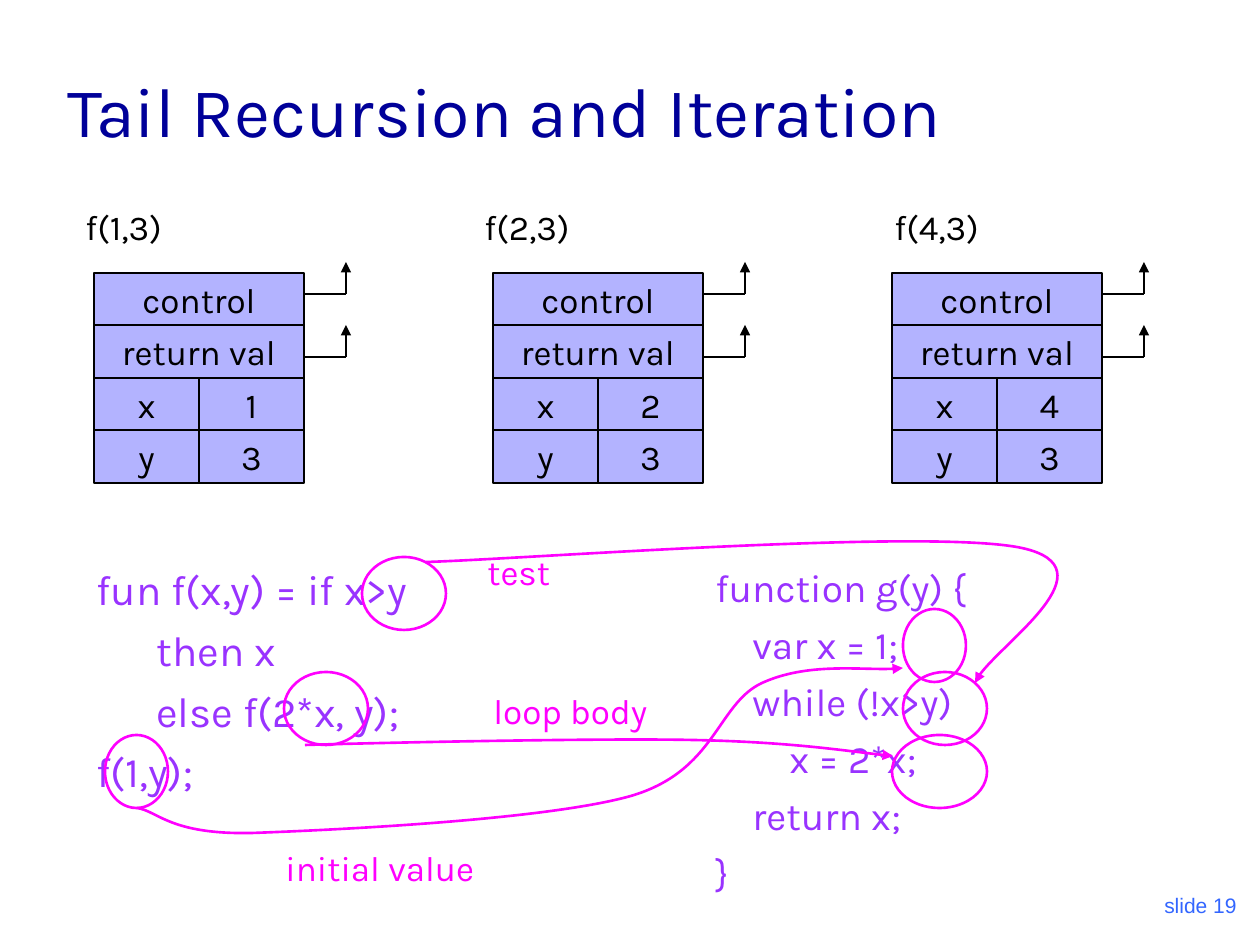
from pptx import Presentation
from pptx.dml.color import RGBColor
from pptx.enum.shapes import MSO_CONNECTOR, MSO_SHAPE
from pptx.enum.text import MSO_ANCHOR as Anchor, PP_ALIGN as Align
from pptx.oxml.ns import qn
from pptx.util import Emu, Pt
from lxml.etree import SubElement

SCALE = 914400 / 126
COLORS = {
    "title": "000099",
    "ink": "000000",
    "cell": "B3B3FF",
    "code": "9933FF",
    "match": "FF00FF",
    "number": "3366FF",
}


def px(length):
    return Emu(round(length * SCALE))


class Board:
    def __init__(self, slide, font="Karla"):
        self.slide = slide
        self.shapes = slide.shapes
        self.font = font

    def color(self, name):
        return RGBColor.from_string(COLORS[name])

    def set_lines(self, frame, lines, size, color, align=Align.LEFT, font=None, before=0):
        for index, (indent, words) in enumerate(lines):
            paragraph = frame.paragraphs[0] if index == 0 else frame.add_paragraph()
            paragraph.text = words
            paragraph.alignment = align
            paragraph.space_before = Pt(before)
            paragraph.font.size = Pt(size)
            paragraph.font.name = font or self.font
            paragraph.font.color.rgb = self.color(color)
            if indent:
                paragraph._p.get_or_add_pPr().set("marL", str(px(indent)))

    def title(self, box, words):
        title = self.shapes.title
        title.left, title.top, title.width, title.height = map(px, box)
        title.text_frame.vertical_anchor = Anchor.BOTTOM
        self.set_lines(title.text_frame, [(0, words)], 40, "title")

    def text(self, box, lines, size, color, anchor=Anchor.TOP, **style):
        frame = self.shapes.add_textbox(*map(px, box)).text_frame
        frame.word_wrap = True
        frame.vertical_anchor = anchor
        self.set_lines(frame, lines, size, color, **style)

    def stroke(self, shape, color, width=1.5, arrow=False):
        shape.line.color.rgb = self.color(color)
        shape.line.width = Pt(width)
        if arrow:
            SubElement(shape.line._get_or_add_ln(), qn("a:tailEnd"), type="triangle")

    def cell(self, box, words):
        cell = self.shapes.add_shape(MSO_SHAPE.RECTANGLE, *map(px, box))
        cell.shadow.inherit = False
        cell.fill.solid()
        cell.fill.fore_color.rgb = self.color("cell")
        self.stroke(cell, "ink", 0.75)
        cell.text_frame.word_wrap = False
        cell.text_frame.vertical_anchor = Anchor.MIDDLE
        self.set_lines(cell.text_frame, [(0, words)], 20, "ink", Align.CENTER)

    def ring(self, box):
        ring = self.shapes.add_shape(MSO_SHAPE.OVAL, *map(px, box))
        ring.shadow.inherit = False
        ring.fill.background()
        self.stroke(ring, "match")

    def line(self, start, end, arrow=False):
        line = self.shapes.add_connector(MSO_CONNECTOR.STRAIGHT, *map(px, start + end))
        self.stroke(line, "ink", arrow=arrow)
        SubElement(line._element.spPr, qn("a:effectLst"))

    def curve(self, points):
        builder = self.shapes.build_freeform(*points[0], scale=SCALE)
        builder.add_line_segments(points[1:], close=False)
        curve = builder.convert_to_shape()
        curve.shadow.inherit = False
        curve.fill.background()
        self.stroke(curve, "match", arrow=True)
        outline = next(curve._element.iter(qn("a:path")))
        steps = outline.findall(qn("a:lnTo"))
        for first in range(0, len(steps), 3):
            bezier = SubElement(outline, qn("a:cubicBezTo"))
            for step in steps[first:first + 3]:
                bezier.append(step[0])
                outline.remove(step)

    def activation_record(self, left, label_left, x, y):
        self.text((label_left, 199, 158, 55), [(0, f"f({x},{y})")], 20, "ink")
        rows = [["control"], ["return val"], ["x", str(x)], ["y", str(y)]]
        for row, entries in enumerate(rows):
            width = 210 // len(entries)
            for column, entry in enumerate(entries):
                self.cell((left + column * width, 273 + row * 210 // 4, width, 53), entry)
        right, turn = left + 210, left + 252
        for link in (294, 357):
            self.line((right, link), (turn, link))
            self.line((turn, link), (turn, link - 32), arrow=True)


deck = Presentation()
deck.slide_width, deck.slide_height = px(1260), px(945)
board = Board(deck.slides.add_slide(deck.slide_layouts[5]))

board.title((55, 32, 1142, 126), "Tail Recursion and Iteration")
board.text((987, 861, 262, 63), [(0, "slide 19")], 12, "number",
           Anchor.BOTTOM, align=Align.RIGHT, font="Arial")

for index, (label_left, x) in enumerate([(73, 1), (472, 2), (882, 4)]):
    board.activation_record(94 + index * 399, label_left, x, 3)

recursion = [
    (63, "fun f(x,y) = if x>y"),
    (123, "then x"),
    (123, "else f(2*x, y);"),
    (63, "f(1,y);"),
]
iteration = [
    (63, "function g(y) {"),
    (100, "var x = 1;"),
    (100, "while (!x>y)"),
    (137, "x = 2*x;"),
    (100, "return x;"),
    (63, "}"),
]
board.text((21, 557, 483, 294), recursion, 24, "code", before=6)
board.text((640, 557, 420, 357), iteration, 22.2, "code", before=6)

matches = [
    ("initial value", (273, 840), [(903, 609, 63, 73), (105, 735, 63, 73)],
     [(137, 808), (158, 811), (170, 835), (253, 833), (335, 830), (546, 820), (631, 796),
      (716, 771), (717, 704), (762, 683), (808, 662), (873, 672), (903, 668)]),
    ("loop body", (481, 683), [(284, 672, 84, 73), (892, 735, 95, 73)],
     [(305, 745), (369, 743), (596, 738), (693, 740), (791, 742), (852, 752), (893, 756)]),
    ("test", (475, 544), [(362, 557, 84, 73), (903, 672, 84, 73)],
     [(426, 562), (525, 559), (930, 528), (1022, 548), (1113, 568), (985, 654), (975, 683)]),
]
for name, corner, rings, points in matches:
    for ring in rings:
        board.ring(ring)
    board.curve(points)
    board.text((*corner, 315, 55), [(0, name)], 20, "match")

deck.save("out.pptx")
